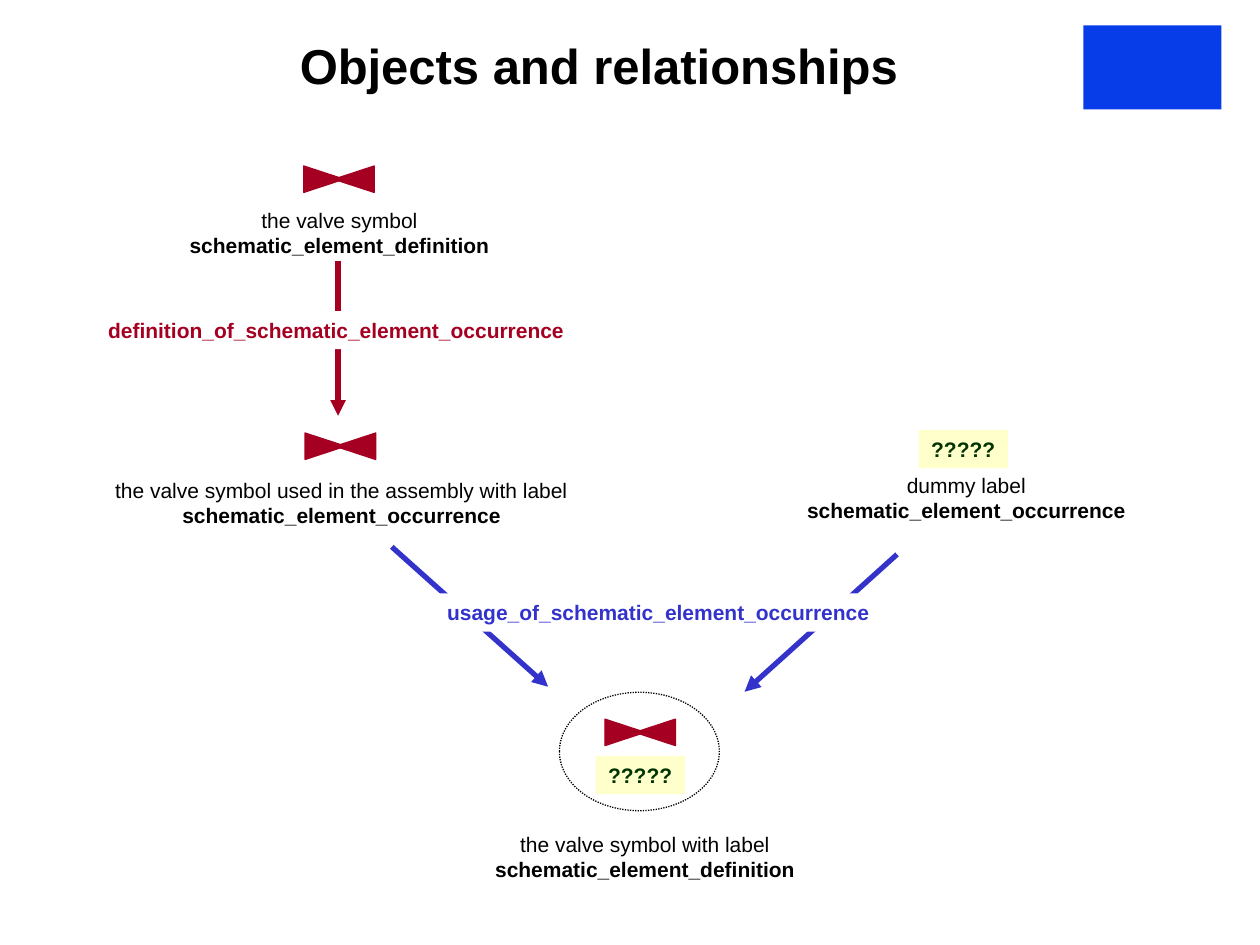
"""Build the slide on schematic objects and their relationships."""
import pptx
import pptx.dml.color
import pptx.enum.dml
import pptx.enum.shapes
import pptx.enum.text
import pptx.oxml
import pptx.oxml.ns
import pptx.util

Pt = pptx.util.Pt
SHAPES = pptx.enum.shapes.MSO_SHAPE
ALIGN = pptx.enum.text.PP_ALIGN

BLACK, WHITE, RED, BLUE = "000000", "FFFFFF", "A50021", "3333CC"
YELLOW, GREEN, LOGO_BLUE = "FFFFCC", "003300", "063DE8"

TITLE = ("Objects and relationships", 164.2, 16.6, 370, 41)
LOGO = (619, 14.5, 79, 48)
CAPTIONS = [
    ("the valve symbol", "schematic_element_definition", 194, 115.2),
    ("the valve symbol used in the assembly with label", "schematic_element_occurrence", 195.2, 269.3),
    ("dummy label", "schematic_element_occurrence", 552.2, 266.4),
    ("the valve symbol with label", "schematic_element_definition", 368.6, 471.6),
]
ARROWS = [
    (193.2, 149, 193.2, 237.6, RED),
    (223.9, 312.5, 313.2, 392.4, BLUE),
    (512.6, 316.8, 425.5, 395.3, BLUE),
]
LABELS = [
    ("definition_of_schematic_element_occurrence", 54.7, 177.8, 275, RED, WHITE),
    ("usage_of_schematic_element_occurrence", 248.4, 339.1, 255.6, BLUE, WHITE),
    ("?????", 525, 245.8, 51.1, GREEN, YELLOW),
    ("?????", 340.4, 432, 51.1, GREEN, YELLOW),
]
ASSEMBLY = (319.7, 395.6, 91.4, 67.7)
VALVE_CENTRES = [(193.7, 102.4), (194.5, 255), (365.8, 418.5)]
CAPTION_WIDTH, CAPTION_HEIGHT, LABEL_HEIGHT = 290, 36, 21.8
TRIANGLE_WIDTH, TRIANGLE_HEIGHT, TRIANGLE_OFFSET = 15.1, 23, 8.64


def rgb(value):
    """Turn a hex string into a colour."""
    return pptx.dml.color.RGBColor.from_string(value)


def add_shape(shapes, kind, box, fill=None, line=None):
    """Add a flat preset shape with optional fill and outline."""
    shape = shapes.add_shape(kind, *map(Pt, box))
    shape.shadow.inherit = False
    if fill:
        shape.fill.solid()
        shape.fill.fore_color.rgb = rgb(fill)
    else:
        shape.fill.background()
    if line:
        shape.line.color.rgb = rgb(line)
        shape.line.width = Pt(0.75)
    else:
        shape.line.fill.background()
    return shape


def write_lines(shape, lines, align, colour):
    """Write (text, size, bold) lines into a shape."""
    frame = shape.text_frame
    frame.word_wrap = False
    frame.vertical_anchor = pptx.enum.text.MSO_ANCHOR.TOP
    for index, (text, size, bold) in enumerate(lines):
        paragraph = frame.add_paragraph() if index else frame.paragraphs[0]
        paragraph.text = text
        paragraph.alignment = align
        paragraph.font.name = "Arial"
        paragraph.font.size = Pt(size)
        paragraph.font.bold = bold
        paragraph.font.color.rgb = rgb(colour)


def add_arrow(shapes, x1, y1, x2, y2, colour):
    """Add a straight arrow pointing at its second end."""
    arrow = shapes.add_connector(pptx.enum.shapes.MSO_CONNECTOR.STRAIGHT, *map(Pt, (x1, y1, x2, y2)))
    arrow.line.color.rgb = rgb(colour)
    arrow.line.width = Pt(3)
    head = pptx.oxml.parse_xml(f'<a:tailEnd {pptx.oxml.ns.nsdecls("a")} type="triangle"/>')
    arrow.line._get_or_add_ln().append(head)
    arrow._element.spPr.append(pptx.oxml.parse_xml(f'<a:effectLst {pptx.oxml.ns.nsdecls("a")}/>'))


def add_valve(shapes, x, y):
    """Add a valve of two triangles meeting tip to tip at a centre."""
    valve = shapes.add_group_shape()
    for side, rotation in ((1, 270), (-1, 90)):
        left = x + side * TRIANGLE_OFFSET - TRIANGLE_WIDTH / 2
        box = (left, y - TRIANGLE_HEIGHT / 2, TRIANGLE_WIDTH, TRIANGLE_HEIGHT)
        add_shape(valve.shapes, SHAPES.ISOSCELES_TRIANGLE, box, RED, RED).rotation = rotation


def main():
    """Build and save the slide."""
    presentation = pptx.Presentation()
    presentation.slide_width, presentation.slide_height = Pt(720), Pt(540)
    slide = presentation.slides.add_slide(presentation.slide_layouts[6])
    shapes = slide.shapes

    add_shape(shapes, SHAPES.RECTANGLE, LOGO, LOGO_BLUE)
    title, *box = TITLE
    write_lines(shapes.add_textbox(*map(Pt, box)), [(title, 28, True)], ALIGN.LEFT, BLACK)
    for text, entity, centre, top in CAPTIONS:
        box = (centre - CAPTION_WIDTH / 2, top, CAPTION_WIDTH, CAPTION_HEIGHT)
        caption = shapes.add_textbox(*map(Pt, box))
        write_lines(caption, [(text, 12, False), (entity, 12, True)], ALIGN.CENTER, BLACK)
    for arrow in ARROWS:
        add_arrow(shapes, *arrow)
    assembly = add_shape(shapes, SHAPES.OVAL, ASSEMBLY, line=BLACK)
    assembly.line.dash_style = pptx.enum.dml.MSO_LINE.ROUND_DOT
    for text, left, top, width, colour, fill in LABELS:
        label = add_shape(shapes, SHAPES.RECTANGLE, (left, top, width, LABEL_HEIGHT), fill)
        write_lines(label, [(text, 12, True)], ALIGN.LEFT, colour)
    for centre in VALVE_CENTRES:
        add_valve(shapes, *centre)

    presentation.save("out.pptx")


if __name__ == "__main__":
    main()
